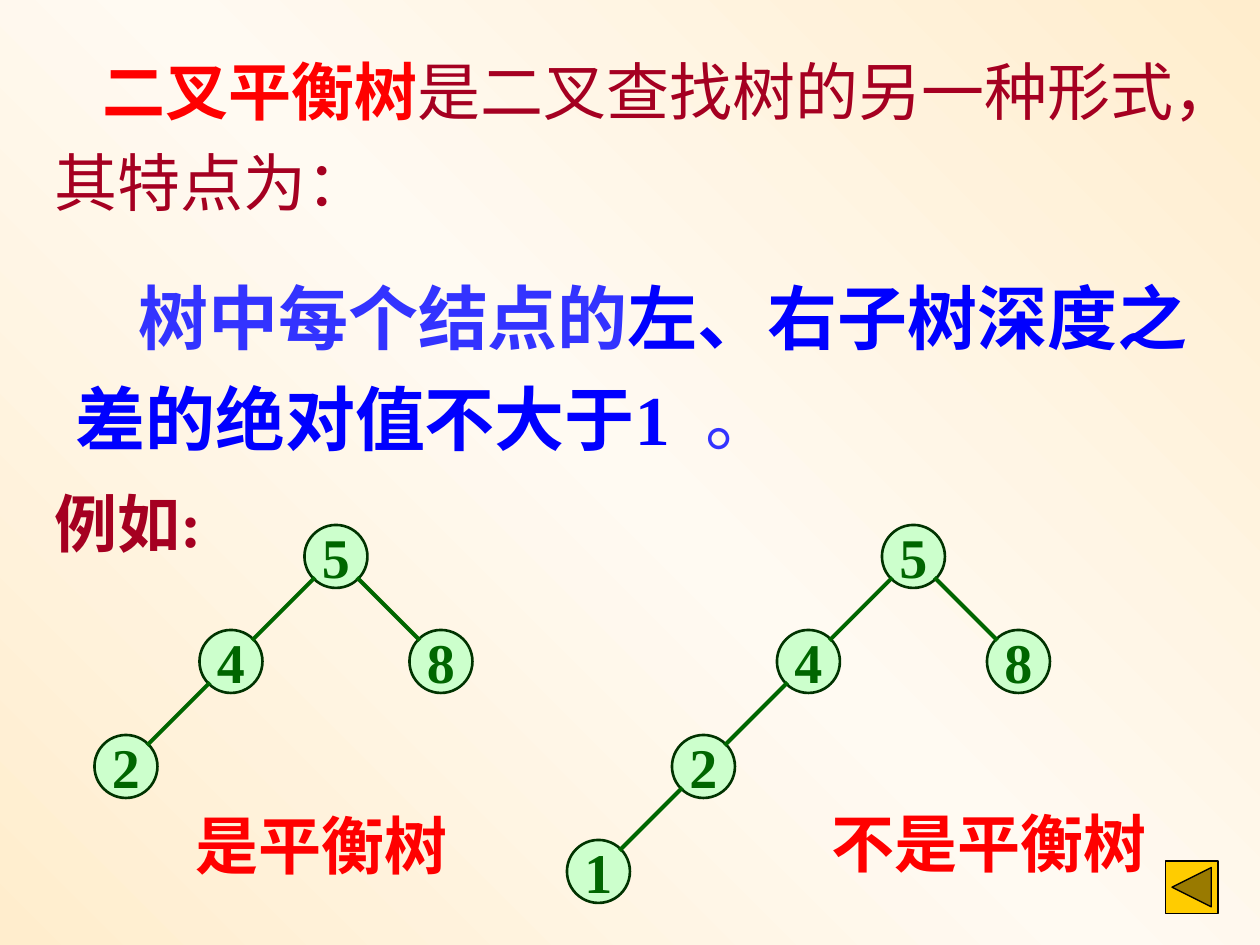
from copy import deepcopy
from dataclasses import dataclass

from pptx import Presentation
from pptx.dml.color import RGBColor
from pptx.enum.shapes import MSO_CONNECTOR, MSO_SHAPE
from pptx.enum.text import MSO_ANCHOR, PP_ALIGN
from pptx.oxml.ns import qn
from pptx.oxml.xmlchemy import OxmlElement
from pptx.util import Inches, Pt

WIDTH, HEIGHT = Inches(10), Inches(7.5)
COLS, ROWS = 12, 9
NODE = 0.6
NEAR, FAR = 0.1, 0.5

CREAM = RGBColor(0xFF, 0xED, 0xCD)
PALE = RGBColor(0xFF, 0xFA, 0xF2)
RED = RGBColor(0xFF, 0x00, 0x00)
WINE = RGBColor(0xA5, 0x00, 0x21)
BLUE = RGBColor(0x00, 0x00, 0xFF)
SKY = RGBColor(0x33, 0x33, 0xFF)
MINT = RGBColor(0xCC, 0xFF, 0xCC)
GREEN = RGBColor(0x00, 0x66, 0x00)
DARK = RGBColor(0x00, 0x33, 0x00)
GOLD = RGBColor(0xFF, 0xCC, 0x00)
BLACK = RGBColor(0x00, 0x00, 0x00)


@dataclass
class Phrase:
    text: str
    color: RGBColor
    bold: bool = True


@dataclass
class Note:
    box: tuple
    words: list
    size: int = 36
    lead: float = 1.0
    indent: float = 0
    tab: float = 0


@dataclass
class Tree:
    col: float
    row: float
    spine: str
    right: str


NOTES = [
    Note((0.4, 0.3, 11.4, 1.94),
         [Phrase("二叉平衡树", RED),
          Phrase("是二叉查找树的另一种形式，其特点为：", WINE, False)],
         lead=1.2, indent=0.38),
    Note((0.6, 2.4, 10.9, 2.04),
         [Phrase("树中每个结点的", SKY),
          Phrase("左、右子树深度之差的绝对值不大于1\t", BLUE),
          Phrase("。", SKY, False)],
         size=40, lead=1.2, indent=0.5, tab=7.58),
    Note((0.4, 4.56, 1.66, 0.84), [Phrase("例如:", WINE)]),
    Note((1.74, 7.62, 2.66, 0.84), [Phrase("是平衡树", RED)]),
    Note((7.8, 7.6, 3.26, 0.84), [Phrase("不是平衡树", RED)]),
]
TREES = [Tree(2.9, 5, "542", "8"), Tree(8.4, 5, "5421", "8")]


def across(col: float) -> int:
    return round(WIDTH * col / COLS)


def down(row: float) -> int:
    return round(HEIGHT * row / ROWS)


def place(box: tuple) -> tuple:
    col, row, wide, high = box
    return across(col), down(row), across(wide), down(high)


def style(item, values: dict) -> None:
    for key, value in values.items():
        setattr(item, key, value)


def write(para, phrase: Phrase, size: int) -> None:
    run = para.add_run()
    run.text = phrase.text
    style(run.font, {"name": "Times New Roman", "size": Pt(size), "bold": phrase.bold})
    run.font.color.rgb = phrase.color


def add_note(slide, note: Note) -> None:
    frame = slide.shapes.add_textbox(*place(note.box)).text_frame
    frame.word_wrap = True
    para = frame.paragraphs[0]
    para.line_spacing = note.lead
    props = para._p.get_or_add_pPr()
    if note.indent:
        props.set("marL", "0")
        props.set("indent", str(Inches(note.indent)))
    if note.tab:
        tabs, tab = OxmlElement("a:tabLst"), OxmlElement("a:tab")
        tab.set("pos", str(Inches(note.tab)))
        tab.set("algn", "l")
        tabs.append(tab)
        props.append(tabs)
    for phrase in note.words:
        write(para, phrase, note.size)


def add_shape(slide, kind, box: tuple, fill: RGBColor, edge: RGBColor, width: float):
    shape = slide.shapes.add_shape(kind, *place(box))
    shape.shadow.inherit = False
    shape.fill.solid()
    shape.fill.fore_color.rgb = fill
    shape.line.color.rgb = edge
    shape.line.width = Pt(width)
    return shape


def add_node(slide, text: str, col: float, row: float) -> None:
    shape = add_shape(slide, MSO_SHAPE.OVAL, (col, row, NODE, NODE), MINT, DARK, 1.5)
    frame = shape.text_frame
    style(frame, {"word_wrap": False, "vertical_anchor": MSO_ANCHOR.MIDDLE})
    para = frame.paragraphs[0]
    para.alignment = PP_ALIGN.CENTER
    write(para, Phrase(text, GREEN), 32)


def add_edge(slide, col: float, row: float, side: int) -> None:
    start, end = (NEAR, FAR) if side < 0 else (FAR, NEAR)
    line = slide.shapes.add_connector(
        MSO_CONNECTOR.STRAIGHT, across(col + start), down(row + FAR),
        across(col + side + end), down(row + 1 + NEAR))
    line.line.color.rgb = GREEN
    line.line.width = Pt(2.25)
    line._element.spPr.append(OxmlElement("a:effectLst"))


def add_tree(slide, tree: Tree) -> None:
    for step, text in enumerate(tree.spine):
        add_node(slide, text, tree.col - step, tree.row + step)
    add_node(slide, tree.right, tree.col + 1, tree.row + 1)
    for step in range(len(tree.spine) - 1):
        add_edge(slide, tree.col - step, tree.row + step, -1)
    add_edge(slide, tree.col, tree.row, 1)


def paint(slide) -> None:
    fill = slide.background.fill
    fill.gradient()
    fill.gradient_angle = 45
    stops = slide._element.find(".//" + qn("a:gsLst"))
    stops.insert(1, deepcopy(stops[0]))
    for stop, spot, color in zip(fill.gradient_stops, (0, 0.5, 1), (CREAM, PALE, CREAM)):
        stop.position = spot
        stop.color.rgb = color


def main() -> None:
    deck = Presentation()
    style(deck, {"slide_width": WIDTH, "slide_height": HEIGHT})
    slide = deck.slides.add_slide(deck.slide_layouts[6])
    paint(slide)
    for note in NOTES:
        add_note(slide, note)
    for tree in TREES:
        add_tree(slide, tree)
    add_shape(slide, MSO_SHAPE.ACTION_BUTTON_BACK_OR_PREVIOUS,
              (11.1, 8.2, 0.5, 0.5), GOLD, BLACK, 0.75)
    deck.save("out.pptx")


if __name__ == "__main__":
    main()
